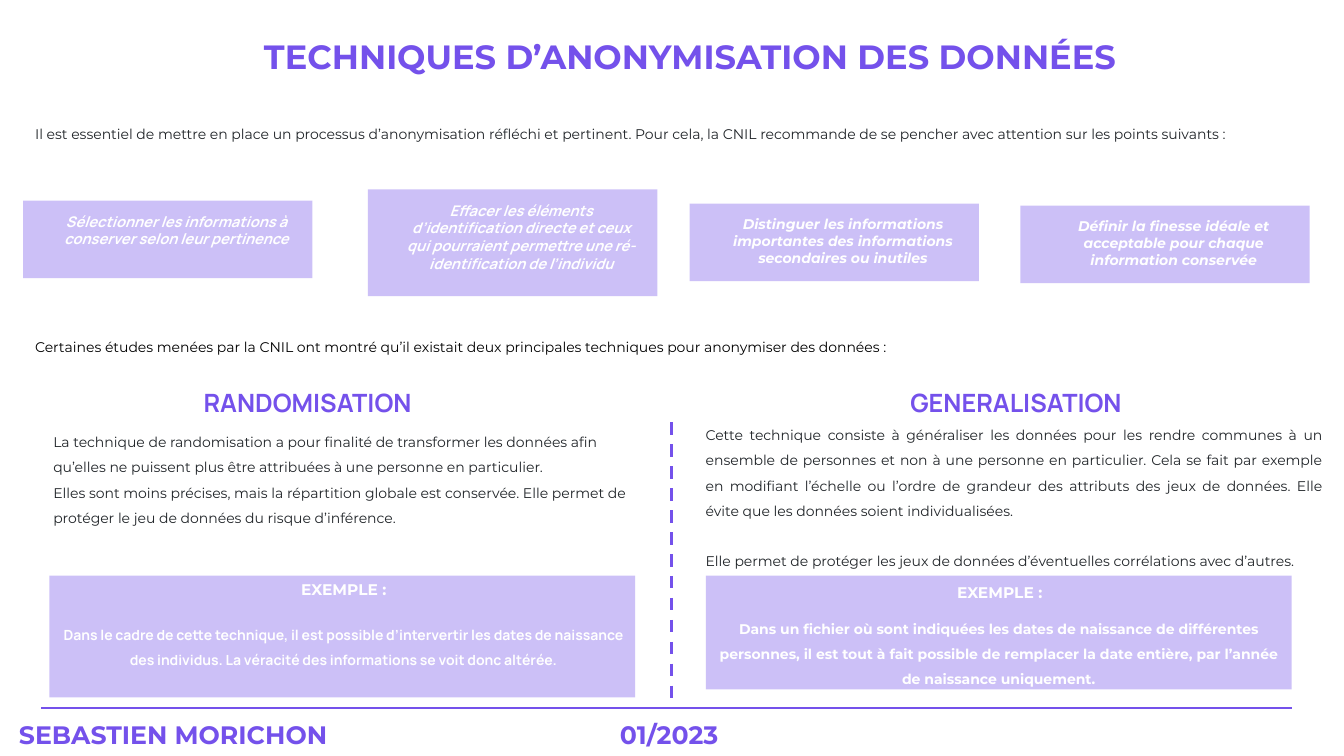
from dataclasses import dataclass
from typing import Optional

import lxml.etree
import pptx
import pptx.dml.color
import pptx.enum.dml
import pptx.enum.shapes
import pptx.enum.text
import pptx.oxml.ns
import pptx.util

Inches = pptx.util.Inches
Align = pptx.enum.text.PP_ALIGN
qn = pptx.oxml.ns.qn

COLORS = {"violet": "7451EB", "ink": "212529", "black": "000000", "white": "FFFFFF"}
MONTSERRAT = "Montserrat"
MANROPE = "Manrope"
TINT_ALPHA = 36


@dataclass(frozen=True)
class Style:
    size: float
    color: str
    font: str = MONTSERRAT
    bold: bool = False
    italic: bool = False
    align: Optional[Align] = None
    line_spacing: Optional[float] = None
    gap: float = 0


@dataclass(frozen=True)
class Box:
    left: float
    top: float
    width: float
    height: float


@dataclass(frozen=True)
class Passage:
    box: Box
    style: Style
    paragraphs: tuple[str, ...]
    wrap: bool = True


@dataclass(frozen=True)
class Recommendation:
    panel: Box
    text_height: float
    style: Style
    text: str


@dataclass(frozen=True)
class Rule:
    start: tuple[float, float]
    end: tuple[float, float]
    weight: float
    dashed: bool = False


FOOTER = Style(18, "violet", bold=True)
TITLE = Style(24, "violet", bold=True)
HEADING = Style(18, "violet", MANROPE, bold=True)
INTRO = Style(10, "ink")
STUDIES = Style(10, "black")
BODY = Style(10, "ink", line_spacing=1.5)
JUSTIFIED = Style(10, "ink", align=Align.JUSTIFY, line_spacing=1.5, gap=18)
CARD_MANROPE = Style(10.5, "white", MANROPE, True, True, Align.CENTER)
CARD_MONTSERRAT = Style(10, "white", MONTSERRAT, True, True, Align.CENTER)
EXAMPLE_LABEL = Style(11, "white", bold=True, align=Align.CENTER)
EXAMPLE_MANROPE = Style(10, "white", MANROPE, True, align=Align.CENTER, line_spacing=1.5)
EXAMPLE_MONTSERRAT = Style(10, "white", bold=True, align=Align.CENTER, line_spacing=1.5)

RULES = (
    Rule((0.41, 7.02), (12.81, 7.02), 1.5),
    Rule((6.66, 4.19), (6.66, 6.92), 2.25, dashed=True),
)

RECOMMENDATIONS = (
    Recommendation(Box(0.23, 1.99, 2.87, 0.77), 0.63, CARD_MANROPE,
                   "Sélectionner les informations à conserver selon leur pertinence"),
    Recommendation(Box(3.65, 1.88, 2.87, 1.06), 0.98, CARD_MANROPE,
                   "Effacer les éléments d’identification directe et ceux qui pourraient "
                   "permettre une ré-identification de l’individu"),
    Recommendation(Box(6.84, 2.02, 2.87, 0.77), 0.61, CARD_MONTSERRAT,
                   "Distinguer les informations importantes des informations "
                   "secondaires ou inutiles"),
    Recommendation(Box(10.12, 2.04, 2.87, 0.77), 0.61, CARD_MONTSERRAT,
                   "Définir la finesse idéale et acceptable pour chaque "
                   "information conservée"),
)

EXAMPLE_PANELS = (Box(0.49, 5.71, 5.81, 1.21), Box(7, 5.71, 5.81, 1.13))

PASSAGES = (
    Passage(Box(0.09, 7.09, 3.27, 0.4), FOOTER, ("SEBASTIEN MORICHON",), wrap=False),
    Passage(Box(6.05, 7.09, 1.25, 0.4), FOOTER, ("01/2023",)),
    Passage(Box(2.52, 0.31, 8.76, 0.5), TITLE,
            ("TECHNIQUES D’ANONYMISATION DES DONNÉES",), wrap=False),
    Passage(Box(0.25, 1.2, 12.86, 0.27), INTRO,
            ("Il est essentiel de mettre en place un processus d’anonymisation réfléchi "
             "et pertinent. Pour cela, la CNIL recommande de se pencher avec attention "
             "sur les points suivants :",)),
    Passage(Box(0.25, 3.31, 8.93, 0.27), STUDIES,
            ("Certaines études menées par la CNIL ont montré qu’il existait deux "
             "principales techniques pour anonymiser des données :",), wrap=False),
    Passage(Box(1.92, 3.79, 2.38, 0.4), HEADING, ("RANDOMISATION",), wrap=False),
    Passage(Box(8.93, 3.79, 2.35, 0.4), HEADING, ("GENERALISATION",), wrap=False),
    Passage(Box(0.43, 4.17, 5.98, 1.08), BODY,
            ("La technique de randomisation a pour finalité de transformer les données "
             "afin qu’elles ne puissent plus être attribuées à une personne en particulier.",
             "Elles sont moins précises, mais la répartition globale est conservée. "
             "Elle permet de protéger le jeu de données du risque d’inférence.")),
    Passage(Box(6.9, 4.1, 6.31, 1.59), JUSTIFIED,
            ("Cette technique consiste à généraliser les données pour les rendre communes "
             "à un ensemble de personnes et non à une personne en particulier. Cela se fait "
             "par exemple en modifiant l’échelle ou l’ordre de grandeur des attributs des "
             "jeux de données. Elle évite que les données soient individualisées.",
             "Elle permet de protéger les jeux de données d’éventuelles corrélations "
             "avec d’autres.")),
    Passage(Box(0.52, 5.71, 5.78, 0.29), EXAMPLE_LABEL, ("EXEMPLE :",)),
    Passage(Box(7.02, 5.74, 5.79, 0.29), EXAMPLE_LABEL, ("EXEMPLE :",)),
    Passage(Box(0.51, 6.08, 5.79, 0.58), EXAMPLE_MANROPE,
            ("Dans le cadre de cette technique, il est possible d’intervertir les dates de "
             "naissance des individus. La véracité des informations se voit donc altérée.",)),
    Passage(Box(7, 6.02, 5.81, 0.83), EXAMPLE_MONTSERRAT,
            ("Dans un fichier où sont indiquées les dates de naissance de différentes "
             "personnes, il est tout à fait possible de remplacer la date entière, par "
             "l’année de naissance uniquement.",)),
)


def rgb(name: str) -> pptx.dml.color.RGBColor:
    return pptx.dml.color.RGBColor.from_string(COLORS[name])


def emu(box: Box) -> tuple[int, ...]:
    return tuple(Inches(v) for v in (box.left, box.top, box.width, box.height))


def draw_panel(shapes, box: Box) -> None:
    """Draw a translucent violet rectangle without outline."""
    panel = shapes.add_shape(pptx.enum.shapes.MSO_SHAPE.RECTANGLE, *emu(box))
    panel.shadow.inherit = False
    panel.line.fill.background()
    panel.fill.solid()
    panel.fill.fore_color.rgb = rgb("violet")
    tint = panel.fill._xPr.find(qn("a:solidFill")).find(qn("a:srgbClr"))
    lxml.etree.SubElement(tint, qn("a:alpha"), val=str(TINT_ALPHA * 1000))


def draw_passage(shapes, passage: Passage) -> None:
    style = passage.style
    frame = shapes.add_textbox(*emu(passage.box)).text_frame
    frame.word_wrap = passage.wrap
    frame.auto_size = pptx.enum.text.MSO_AUTO_SIZE.SHAPE_TO_FIT_TEXT
    for index, text in enumerate(passage.paragraphs):
        paragraph = frame.add_paragraph() if index else frame.paragraphs[0]
        paragraph.alignment = style.align
        paragraph.line_spacing = style.line_spacing
        if index and style.gap:
            paragraph.space_before = pptx.util.Pt(style.gap)
        run = paragraph.add_run()
        run.text = text
        run.font.name = style.font
        run.font.size = pptx.util.Pt(style.size)
        run.font.bold = style.bold
        run.font.italic = style.italic
        run.font.color.rgb = rgb(style.color)


def draw_recommendation(shapes, item: Recommendation) -> None:
    group = shapes.add_group_shape().shapes
    draw_panel(group, item.panel)
    text_box = Box(item.panel.left + 0.28, item.panel.top + 0.07, 2.48, item.text_height)
    draw_passage(group, Passage(text_box, item.style, (item.text,)))


def draw_rule(shapes, rule: Rule) -> None:
    ends = (Inches(v) for v in rule.start + rule.end)
    line = shapes.add_connector(pptx.enum.shapes.MSO_CONNECTOR.STRAIGHT, *ends)
    line.line.color.rgb = rgb("violet")
    line.line.width = pptx.util.Pt(rule.weight)
    if rule.dashed:
        line.line.dash_style = pptx.enum.dml.MSO_LINE.DASH
    lxml.etree.SubElement(line._element.spPr, qn("a:effectLst"))


def main() -> None:
    deck = pptx.Presentation()
    deck.slide_width, deck.slide_height = Inches(13.33), Inches(7.5)
    shapes = deck.slides.add_slide(deck.slide_layouts[6]).shapes
    for rule in RULES:
        draw_rule(shapes, rule)
    for item in RECOMMENDATIONS:
        draw_recommendation(shapes, item)
    for panel in EXAMPLE_PANELS:
        draw_panel(shapes, panel)
    for passage in PASSAGES:
        draw_passage(shapes, passage)
    deck.save("out.pptx")


if __name__ == "__main__":
    main()
